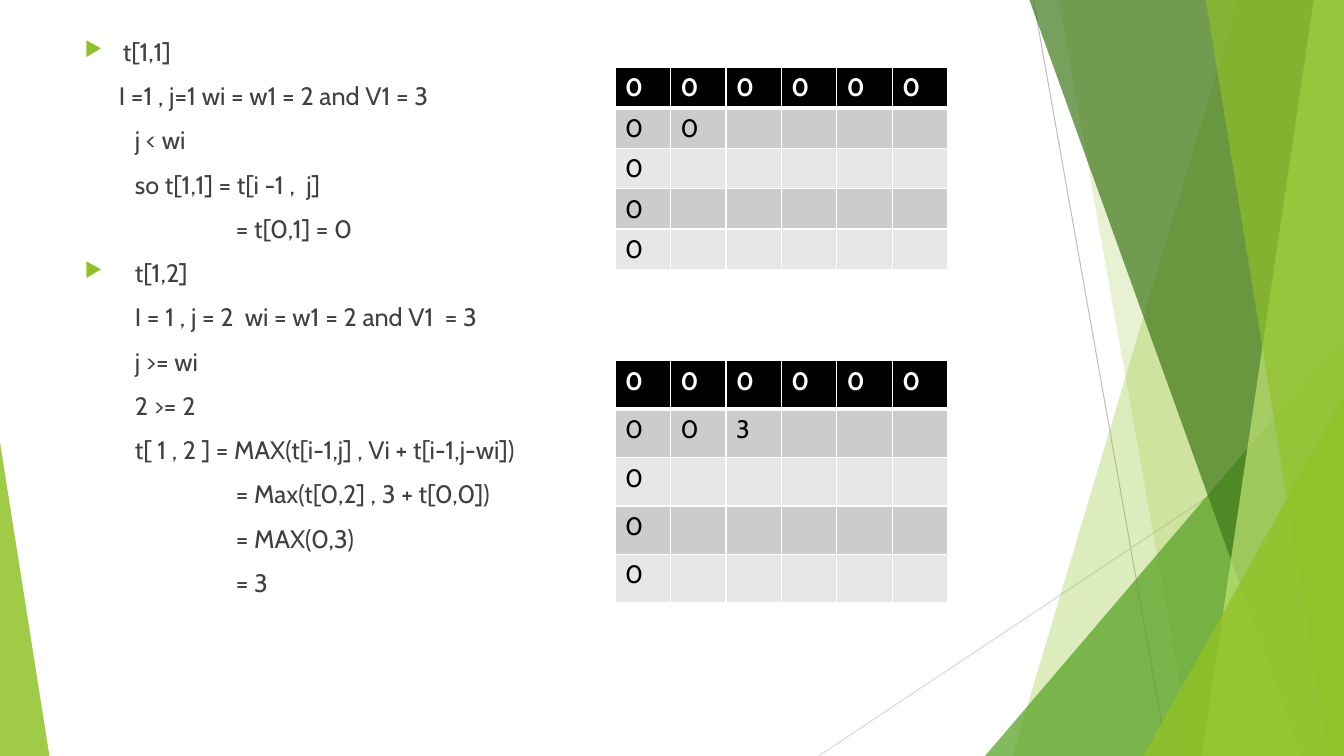
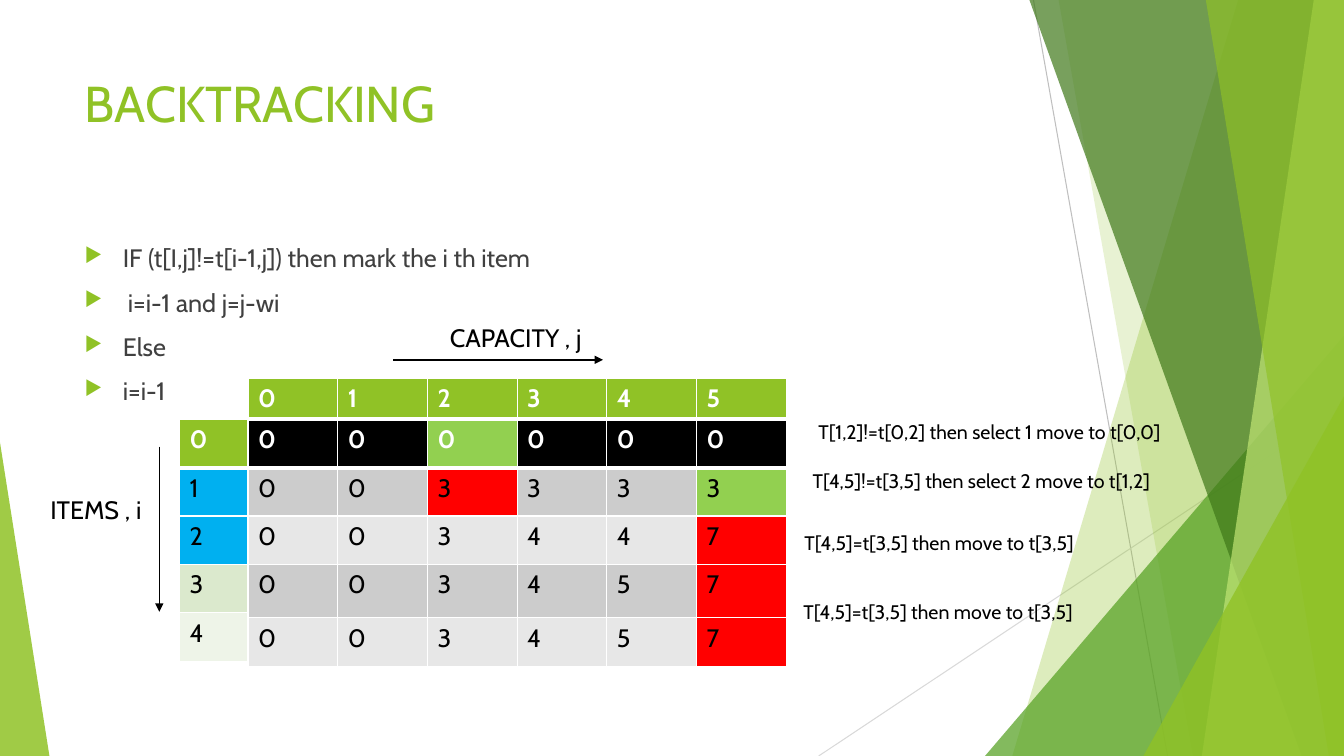
from lxml.etree import SubElement
from pptx import Presentation
from pptx.dml.color import RGBColor
from pptx.enum.shapes import MSO_CONNECTOR as Connector, MSO_SHAPE as Shape
from pptx.enum.text import PP_ALIGN as Align
from pptx.oxml.ns import qn
from pptx.util import Inches, Pt

FONT = "Cabin"
WIDTH, HEIGHT = 13.33, 7.5
COLORS = {
    "lime": "90C226", "green": "54A021", "forest": "3F7819", "pale": "C0E474",
    "long_line": "BFBFBF", "short_line": "D9D9D9", "body": "404040",
    "black": "000000", "white": "FFFFFF", "dark_band": "CCCCCC", "light_band": "E7E7E7",
    "marked": "FF0000", "reached": "92D050", "selected": "00B0F0",
    "item_dark": "DBE9CD", "item_light": "EEF4E8",
}

# Shared backdrop: top left, top right, bottom right, bottom left x of each band
BACK_BANDS = [(12.28, 10.04, "lime", 30), (10.5, 11.83, "lime", 20)]
FRONT_BANDS = [(10.21, 12.91, "forest", 70), (13.03, 11.92, "pale", 70),
               (11.96, 13.18, "lime", 65)]
# left, top, width, apex, colour, opacity
BACK_TRIANGLES = [(9.77, 3.33, 3.56, 1, "green", 72)]
FRONT_TRIANGLES = [(11.34, 3.93, 1.99, 1, "lime", 80), (0, 4.39, 0.49, 0, "lime", 85)]
BACKDROP_LINES = [((10.25, 0), (11.58, HEIGHT), "long_line"),
                  ((WIDTH, 4.03), (8.12, HEIGHT), "short_line")]

# Body lines: text, left indent, bulleted
FILLING_STEPS = [
    ("t[1,1]", 0.38, True),
    ("I =1 , j=1 wi = w1 = 2 and V1 = 3", 0.34, False),
    ("j < wi", 0.5, False),
    ("so t[1,1] = t[i -1 ,  j]", 0.5, False),
    ("= t[0,1] = 0", 1.5, False),
    ("t[1,2]", 0.5, True),
    ("I = 1 , j = 2  wi = w1 = 2 and V1  = 3", 0.5, False),
    ("j >= wi", 0.5, False),
    ("2 >= 2", 0.5, False),
    ("t[ 1 , 2 ] = MAX(t[i-1,j] , Vi + t[i-1,j-wi])", 0.5, False),
    ("= Max(t[0,2] , 3 + t[0,0])", 1.5, False),
    ("= MAX(0,3)", 1.5, False),
    ("= 3", 1.5, False),
]
BACKTRACKING_RULES = [
    ("IF (t[I,j]!=t[i-1,j]) then mark the i th item", 0.38, True),
    ("i=i-1 and j=j-wi", 0.43, True),
    ("Else", 0.38, True),
    ("i=i-1", 0.38, True),
]

# Tables: one string a row, one character a cell
AFTER_1_1 = ["000000", "00    ", "0     ", "0     ", "0     "]
AFTER_1_2 = ["000000", "003   ", "0     ", "0     ", "0     "]
FINISHED = ["000000", "003333", "003447", "003457", "003457"]
TRACE_FILLS = {(0, 2): "reached", (1, 2): "marked", (1, 5): "reached",
               (2, 5): "marked", (3, 5): "marked", (4, 5): "marked"}
ITEM_FILLS = {(1, 0): "selected", (2, 0): "selected",
              (3, 0): "item_dark", (4, 0): "item_light"}

# Labels: text, left, top, width, size, alignment
TRACE_LABELS = [
    ("CAPACITY , j", 1.78, 3.15, 6.67, 18, Align.CENTER),
    ("ITEMS , i", 0.4, 4.85, 1.15, 18, Align.LEFT),
    ("T[4,5]=t[3,5] then move to t[3,5]", 7.74, 5.9, 3.13, 14, Align.CENTER),
    ("T[4,5]=t[3,5] then move to t[3,5]", 5.98, 5.22, 6.67, 14, Align.CENTER),
    ("T[4,5]!=t[3,5] then select 2 move to t[1,2]", 6.88, 4.6, 5.71, 14, Align.CENTER),
    ("T[1,2]!=t[0,2] then select 1 move to t[0,0]", 6.72, 4.12, 6.19, 14, Align.CENTER),
]
AXIS_ARROWS = [((1.58, 4.43), (1.58, 6.07)), ((3.9, 3.57), (5.98, 3.57))]


def rgb(name):
    return RGBColor.from_string(COLORS[name])


def style_runs(paragraph, size, color, bold=False):
    for run in paragraph.runs:
        run.font.name = FONT
        run.font.size = Pt(size)
        run.font.bold = bold
        run.font.color.rgb = rgb(color)


def paint(shape, color, opacity):
    shape.shadow.inherit = False
    shape.fill.solid()
    shape.fill.fore_color.rgb = rgb(color)
    shape.line.fill.background()
    tint = shape.element.spPr.find(qn("a:solidFill"))[0]
    SubElement(tint, qn("a:alpha"), val=str(opacity * 1000))


def add_line(slide, start, end, color, weight, arrow=False):
    ends = [Inches(n) for n in (*start, *end)]
    line = slide.shapes.add_connector(Connector.STRAIGHT, *ends)
    line.line.color.rgb = rgb(color)
    line.line.width = Pt(weight)
    properties = line.element.spPr
    if arrow:
        SubElement(properties.find(qn("a:ln")), qn("a:tailEnd"), type="triangle")
    SubElement(properties, qn("a:effectLst"))


def add_bands(slide, bands):
    for top_x, bottom_x, color, opacity in bands:
        outline = slide.shapes.build_freeform(Inches(top_x), 0)
        corners = [(WIDTH, 0), (WIDTH, HEIGHT), (bottom_x, HEIGHT)]
        outline.add_line_segments([(Inches(x), Inches(y)) for x, y in corners])
        paint(outline.convert_to_shape(), color, opacity)


def add_triangles(slide, triangles):
    for left, top, width, apex, color, opacity in triangles:
        triangle = slide.shapes.add_shape(
            Shape.ISOSCELES_TRIANGLE, Inches(left), Inches(top),
            Inches(width), Inches(HEIGHT - top))
        triangle.adjustments[0] = apex
        paint(triangle, color, opacity)


def move_backdrop_to_layout(slide, layout):
    """Draw the shared backdrop, then hand it to the layout."""
    for placeholder in list(layout.placeholders):
        layout.shapes.element.remove(placeholder.element)
    for start, end, color in BACKDROP_LINES:
        add_line(slide, start, end, color, 0.75)
    add_bands(slide, BACK_BANDS)
    add_triangles(slide, BACK_TRIANGLES)
    add_bands(slide, FRONT_BANDS)
    add_triangles(slide, FRONT_TRIANGLES)
    for shape in list(slide.shapes):
        layout.shapes.element.append(shape.element)


def add_text(slide, text, left, top, width, height, size, color, align=Align.LEFT):
    box = slide.shapes.add_textbox(Inches(left), Inches(top), Inches(width), Inches(height))
    frame = box.text_frame
    frame.word_wrap = True
    frame.text = text
    for paragraph in frame.paragraphs:
        paragraph.alignment = align
        style_runs(paragraph, size, color)
    return frame


def add_body(slide, lines, top, height):
    text = "\n".join(line for line, _, _ in lines)
    frame = add_text(slide, text, 0.74, top, 9.4, height, 18, "body")
    for paragraph, (_, indent, bulleted) in zip(frame.paragraphs, lines):
        paragraph.space_before = Pt(10)
        properties = paragraph._p.get_or_add_pPr()
        properties.set("marL", str(Inches(indent)))
        properties.set("indent", str(-Inches(indent) if bulleted else 0))
        if bulleted:
            tint = SubElement(properties, qn("a:buClr"))
            SubElement(tint, qn("a:srgbClr"), val=COLORS["lime"])
            SubElement(properties, qn("a:buSzPct"), val="80000")
            SubElement(properties, qn("a:buChar"), char="▶")
        else:
            SubElement(properties, qn("a:buNone"))


def add_borders(cell, row):
    # The rule under the header row is heavier
    weights = {"lnL": 1, "lnR": 1, "lnT": 3 if row == 1 else 1, "lnB": 3 if row == 0 else 1}
    for side, weight in weights.items():
        border = SubElement(cell._tc.get_or_add_tcPr(), qn("a:" + side), w=str(Pt(weight)))
        fill = SubElement(border, qn("a:solidFill"))
        SubElement(fill, qn("a:srgbClr"), val=COLORS["white"])


def add_grid(slide, rows, left, top, col_width, row_heights, header="black", fills=None):
    fills = fills or {}
    columns = len(rows[0])
    table = slide.shapes.add_table(
        len(rows), columns, Inches(left), Inches(top),
        Inches(col_width * columns), Inches(sum(row_heights))).table
    table.horz_banding = False
    for column in table.columns:
        column.width = Inches(col_width)
    for r, values in enumerate(rows):
        table.rows[r].height = Inches(row_heights[r])
        band = header if r == 0 else "dark_band" if r % 2 else "light_band"
        for c, value in enumerate(values):
            cell = table.cell(r, c)
            cell.text_frame.text = value.strip()
            style_runs(cell.text_frame.paragraphs[0], 18,
                       "black" if r else "white", bold=r == 0)
            add_borders(cell, r)
            cell.fill.solid()
            cell.fill.fore_color.rgb = rgb(fills.get((r, c), band))


def build_filling(slide):
    add_body(slide, FILLING_STEPS, 0.31, 6.5)
    add_grid(slide, AFTER_1_1, 6.1, 0.67, 0.55, [0.4] * 5)
    add_grid(slide, AFTER_1_2, 6.1, 3.58, 0.55, [0.48] * 5)


def build_backtracking(slide):
    add_text(slide, "BACKTRACKING", 0.74, 0.67, 9.4, 1.44, 36, "lime")
    add_body(slide, BACKTRACKING_RULES, 2.36, 4.24)
    # Value table with its item and capacity headings
    left, top, col_width = 2.46, 4.16, 0.89
    add_grid(slide, FINISHED, left, top, col_width,
             [0.48, 0.48, 0.48, 0.53, 0.48], fills=TRACE_FILLS)
    add_grid(slide, "01234", left - 0.68, top, 0.68, [0.48] * 5, "lime", ITEM_FILLS)
    add_grid(slide, ["012345"], left, top - 0.41, col_width, [0.41], "lime")
    for start, end in AXIS_ARROWS:
        add_line(slide, start, end, "black", 1, arrow=True)
    for text, x, y, width, size, align in TRACE_LABELS:
        add_text(slide, text, x, y, width, 0.4 if size == 18 else 0.34, size, "black", align)


def main():
    deck = Presentation()
    deck.slide_width, deck.slide_height = Inches(WIDTH), Inches(HEIGHT)
    blank = deck.slide_layouts[6]
    filling, backtracking = [deck.slides.add_slide(blank) for _ in range(2)]
    for slide in (filling, backtracking):
        for placeholder in list(slide.placeholders):
            slide.shapes.element.remove(placeholder.element)
    move_backdrop_to_layout(filling, blank)
    build_filling(filling)
    build_backtracking(backtracking)
    deck.save("out.pptx")


if __name__ == "__main__":
    main()
